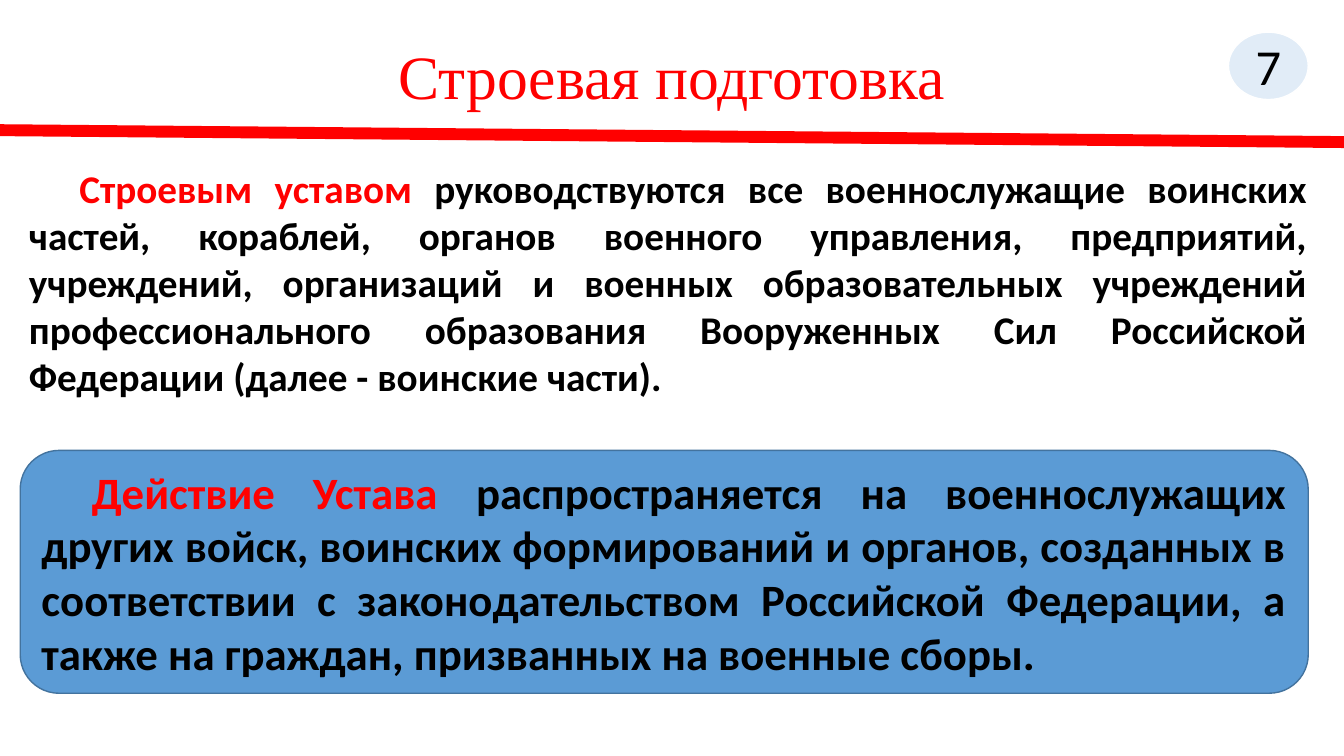
from lxml import etree
from pptx import Presentation
from pptx.dml.color import RGBColor
from pptx.enum.shapes import MSO_CONNECTOR, MSO_SHAPE
from pptx.enum.text import MSO_ANCHOR, PP_ALIGN
from pptx.oxml.ns import qn
from pptx.util import Cm, Pt

STRAIGHT = MSO_CONNECTOR.STRAIGHT
OVAL = MSO_SHAPE.OVAL
ROUNDED = MSO_SHAPE.ROUNDED_RECTANGLE
TOP, MIDDLE = MSO_ANCHOR.TOP, MSO_ANCHOR.MIDDLE
CENTER, JUSTIFY = PP_ALIGN.CENTER, PP_ALIGN.JUSTIFY

COLORS = {
    "red": "FF0000",
    "black": "000000",
    "white": "FFFFFF",
    "blue": "5B9BD5",
    "outline": "43739E",
}


class Page:
    body_font = "Calibri"
    title_font = "Times New Roman"
    first_line_indent = Cm(1.27)

    def __init__(self, deck):
        self.slide = deck.slides.add_slide(deck.slide_layouts[6])

    def color(self, name):
        return RGBColor.from_string(COLORS[name])

    def style(self, span, size, color, font, bold=False):
        span.font.size = Pt(size)
        span.font.name = font
        span.font.bold = bold
        span.font.color.rgb = self.color(color)

    def text_box(self, left, top, width, height, anchor=TOP):
        box = self.slide.shapes.add_textbox(Cm(left), Cm(top), Cm(width), Cm(height))
        box.text_frame.word_wrap = True
        box.text_frame.vertical_anchor = anchor
        return box

    def shape(self, kind, left, top, width, height, line, opacity=100):
        box = self.slide.shapes.add_shape(kind, Cm(left), Cm(top), Cm(width), Cm(height))
        box.shadow.inherit = False
        box.fill.solid()
        box.fill.fore_color.rgb = self.color("blue")
        if opacity < 100:
            tint = box.fill._xPr.find(qn("a:solidFill"))[0]
            etree.SubElement(tint, qn("a:alpha")).set("val", str(opacity * 1000))
        box.line.color.rgb = self.color(line)
        box.line.width = Pt(1)
        box.text_frame.word_wrap = True
        box.text_frame.vertical_anchor = MIDDLE
        return box

    def rule(self, left, top, right, bottom, width):
        line = self.slide.shapes.add_connector(
            STRAIGHT, Cm(left), Cm(top), Cm(right), Cm(bottom))
        line.line.color.rgb = self.color("red")
        line.line.width = Pt(width)
        etree.SubElement(line._element.spPr, qn("a:effectLst"))

    def label(self, box, text, size, color, font):
        para = box.text_frame.paragraphs[0]
        para.text = text
        para.alignment = CENTER
        self.style(para.runs[0], size, color, font)
        return para

    def statement(self, box, lead, rest, size):
        para = box.text_frame.paragraphs[0]
        para.alignment = JUSTIFY
        para._p.get_or_add_pPr().set("indent", str(self.first_line_indent))
        for text, color in ((lead, "red"), (rest, "black")):
            span = para.add_run()
            span.text = text
            self.style(span, size, color, self.body_font, bold=True)


def main():
    deck = Presentation()
    deck.slide_width, deck.slide_height = Cm(33.87), Cm(19.05)
    page = Page(deck)

    title = page.text_box(2.33, 1.01, 29.21, 3.68, MIDDLE)
    title.text_frame.margin_bottom = Cm(1.8)
    heading = page.label(title, "Строевая подготовка", 44, "red", page.title_font)
    heading.line_spacing = 0.9

    page.rule(0, 3.28, 33.87, 3.58, 8.5)

    badge = page.shape(OVAL, 30.96, 0.81, 2.01, 1.7, "white", opacity=18)
    page.label(badge, "7", 36, "black", page.body_font)

    page.statement(
        page.text_box(0.48, 4.01, 32.69, 7.44),
        "Строевым уставом ",
        "руководствуются все военнослужащие воинских частей, кораблей, "
        "органов военного управления, предприятий, учреждений, организаций "
        "и военных образовательных учреждений профессионального образования "
        "Вооруженных Сил Российской Федерации (далее - воинские части).",
        28)

    panel = page.shape(ROUNDED, 0.51, 11.35, 32.46, 6.12, "outline")
    panel.adjustments[0] = 0.16
    page.statement(
        panel,
        "Действие Устава ",
        "распространяется на военнослужащих других войск, воинских "
        "формирований и органов, созданных в соответствии с законодательством "
        "Российской Федерации, а также на граждан, призванных на военные сборы.",
        32)

    deck.save("out.pptx")


if __name__ == "__main__":
    main()
